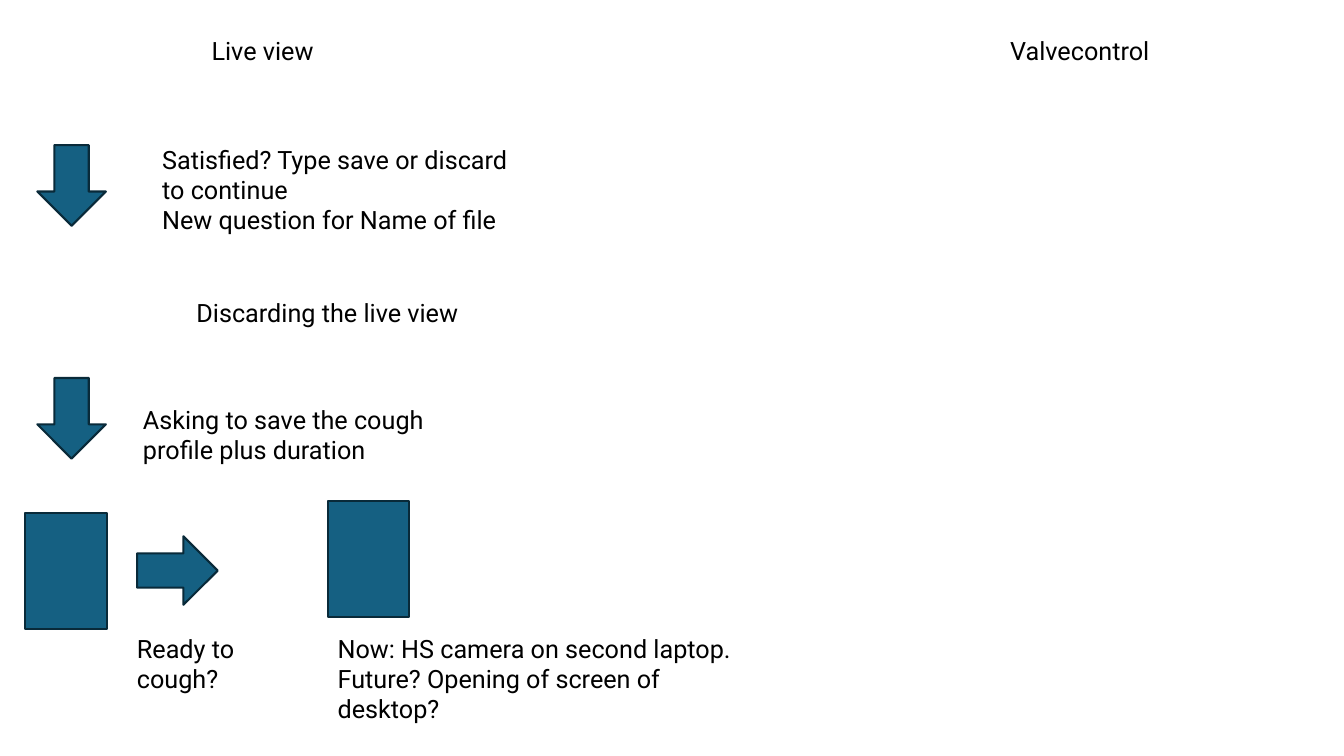
import pptx
import pptx.util
import pptx.dml.color
import pptx.enum.shapes
import pptx.enum.text

Inches = pptx.util.Inches
SHAPES = pptx.enum.shapes.MSO_SHAPE
BLUE = pptx.dml.color.RGBColor(0x15, 0x60, 0x82)
DARK_BLUE = pptx.dml.color.RGBColor(0x09, 0x2A, 0x39)
BLACK = pptx.dml.color.RGBColor(0, 0, 0)

deck = pptx.Presentation()
deck.slide_width = Inches(13.33)
deck.slide_height = Inches(7.5)
slide = deck.slides.add_slide(deck.slide_layouts[6])

# Shared sizes and rows of the flow
ARROW = (0.68, 0.8)
SCREEN = (0.81, 1.15)
LINE_HEIGHT, MARGINS = 0.3, 0.1
HEADING_ROW, CAPTION_ROW = 0.3, 6.23

# Step arrows and screens: preset, left, top, size, rotation
steps = [
    (SHAPES.DOWN_ARROW, 0.37, 1.44, ARROW, 0),
    (SHAPES.DOWN_ARROW, 0.37, 3.75, ARROW, 0),
    (SHAPES.DOWN_ARROW, 1.42, 5.26, ARROW, 270),
    (SHAPES.RECTANGLE, 0.25, 5.09, SCREEN, 0),
    (SHAPES.RECTANGLE, 3.25, 4.97, SCREEN, 0),
]
for preset, left, top, (width, height), rotation in steps:
    step = slide.shapes.add_shape(
        preset, Inches(left), Inches(top), Inches(width), Inches(height))
    step.rotation = rotation
    step.shadow.inherit = False
    step.fill.solid()
    step.fill.fore_color.rgb = BLUE
    step.line.color.rgb = DARK_BLUE
    step.line.width = pptx.util.Pt(1.5)

# Headings and captions: left, top, width, rows of text, paragraphs of lines
captions = [
    (9.92, HEADING_ROW, 2.82, 1, [["Valvecontrol"]]),
    (2, HEADING_ROW, 1.78, 1, [["Live view"]]),
    (1.51, 1.38, 3.82, 3, [["Satisfied? Type save or discard to continue"],
                           ["New question for Name of file"]]),
    (1.85, 2.9, 6.67, 1, [["Discarding the live view"]]),
    (1.32, 3.96, 3.34, 2, [["Asking to save the cough profile plus duration"]]),
    (1.26, CAPTION_ROW, 1.7, 2, [["Ready to cough?"]]),
    (3.25, CAPTION_ROW, 4.12, 3, [["Now: HS camera on second laptop.",
                                   "Future? Opening of screen of desktop?"]]),
]
for left, top, width, rows, paragraphs in captions:
    caption = slide.shapes.add_textbox(
        Inches(left), Inches(top), Inches(width),
        Inches(rows * LINE_HEIGHT + MARGINS)).text_frame
    caption.word_wrap = True
    caption.auto_size = pptx.enum.text.MSO_AUTO_SIZE.SHAPE_TO_FIT_TEXT
    for number, lines in enumerate(paragraphs):
        paragraph = caption.add_paragraph() if number else caption.paragraphs[0]
        for position, line in enumerate(lines):
            if position:
                paragraph.add_line_break()
            run = paragraph.add_run()
            run.text = line
            run.font.name = "Roboto"
            run.font.size = pptx.util.Pt(18)
            run.font.color.rgb = BLACK

deck.save("out.pptx")
